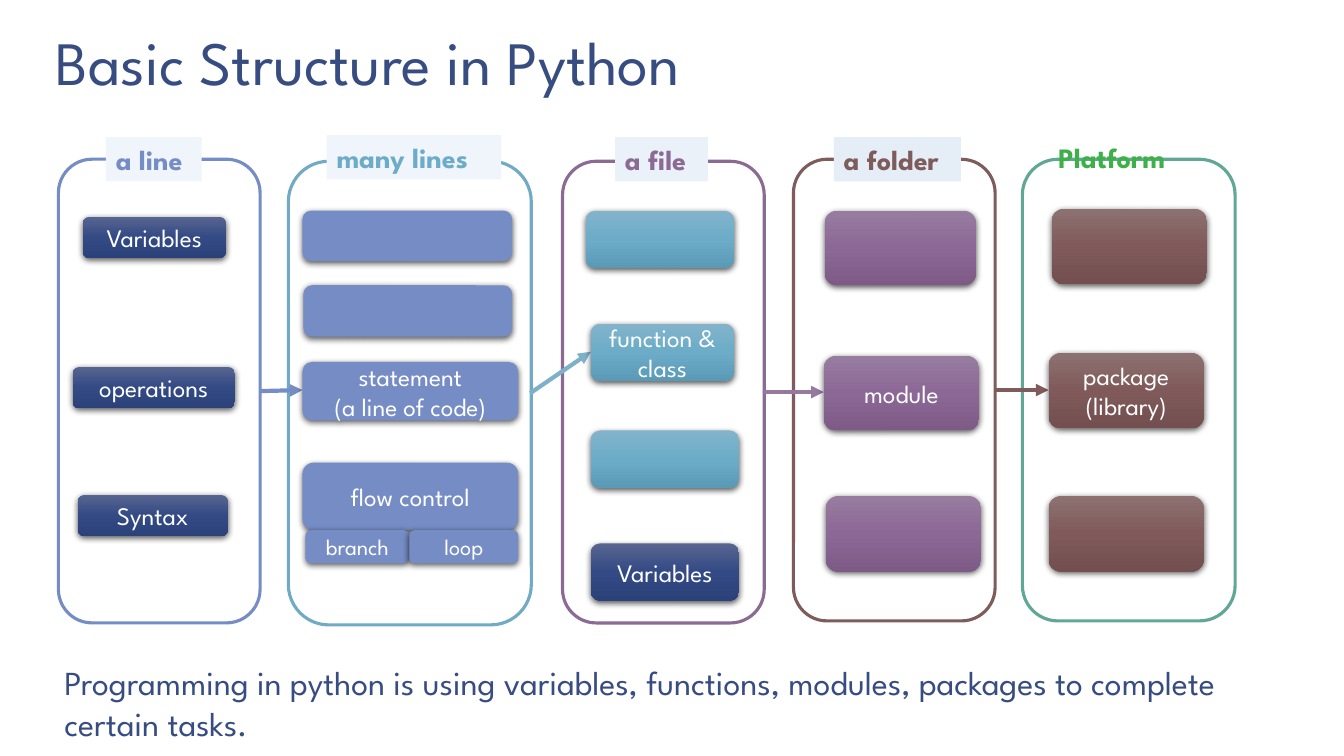
from dataclasses import dataclass

import lxml.etree
import pptx
import pptx.dml.color
import pptx.enum.dml
import pptx.enum.shapes
import pptx.enum.text
import pptx.oxml.ns
import pptx.util

SCALE = 9144
FONT = "League Spartan"
INK = "374C81"
WHITE = "FFFFFF"
NAVY = ("586590", "334A85", "2A4179")
BLUE = ("768CC5",)
TEAL = ("82B3CB", "6CACC8", "5B9AB7")
PLUM = ("987CA0", "8C6896", "7E5A87")
BROWN = ("8D7171", "805A5A", "734F4F")
SHAPE = pptx.enum.shapes.MSO_SHAPE
ANCHOR = pptx.enum.text.MSO_ANCHOR
ALIGN = pptx.enum.text.PP_ALIGN


@dataclass
class Area:
    left: int
    top: int
    width: int
    height: int

    def emu(self) -> list[int]:
        """List the four lengths in EMU."""
        return [px(n) for n in (self.left, self.top, self.width, self.height)]


@dataclass
class Panel:
    area: Area
    line: str


@dataclass
class Label:
    area: Area
    text: str
    ink: str
    fill: str = ""


@dataclass
class Box:
    area: Area
    tone: tuple[str, ...]
    text: str = ""
    size: int = 18


@dataclass
class Arrow:
    start: tuple[int, int]
    end: tuple[int, int]
    ink: str


PANELS = [
    Panel(Area(58, 158, 200, 460), "768CC5"),
    Panel(Area(286, 160, 241, 460), "70AAC4"),
    Panel(Area(558, 160, 200, 458), "8B6A94"),
    Panel(Area(787, 158, 200, 458), "7E5C5C"),
    Panel(Area(1014, 158, 211, 458), "61A796"),
]
LABELS = [
    Label(Area(105, 136, 95, 44), "a line", "768CC5", "EFF5FA"),
    Label(Area(324, 134, 173, 44), "many lines", "6DACC8", "EFF5FA"),
    Label(Area(610, 136, 92, 44), "a file", "8B6A94", "EAF1F9"),
    Label(Area(827, 136, 126, 44), "a folder", "7E5C5C", "E5EEF6"),
    Label(Area(1040, 134, 174, 44), "Platform", "3EB049"),
]
BOXES = [
    Box(Area(82, 215, 142, 41), NAVY, "Variables"),
    Box(Area(72, 364, 161, 41), NAVY, "operations"),
    Box(Area(77, 491, 149, 41), NAVY, "Syntax"),
    Box(Area(300, 209, 208, 50), BLUE),
    Box(Area(301, 283, 207, 51), BLUE),
    Box(Area(300, 359, 214, 58), BLUE, "statement\n(a line of code)"),
    Box(Area(300, 459, 214, 67), BLUE, "flow control"),
    Box(Area(303, 526, 103, 33), BLUE, "branch", 16),
    Box(Area(406, 526, 108, 33), BLUE, "loop", 16),
    Box(Area(581, 209, 147, 57), TEAL),
    Box(Area(586, 321, 142, 57), TEAL, "function & class"),
    Box(Area(586, 427, 147, 57), TEAL),
    Box(Area(586, 539, 147, 57), NAVY, "Variables"),
    Box(Area(818, 209, 150, 74), PLUM),
    Box(Area(817, 353, 154, 74), PLUM, "module"),
    Box(Area(819, 492, 154, 75), PLUM),
    Box(Area(1043, 207, 154, 75), BROWN),
    Box(Area(1040, 350, 154, 75), BROWN, "package\n(library)"),
    Box(Area(1040, 492, 154, 75), BROWN),
]
ARROWS = [
    Arrow((258, 388), (300, 387), "768CC5"),
    Arrow((526, 390), (586, 349), "7DB1CA"),
    Arrow((758, 389), (817, 389), "96799F"),
    Arrow((988, 387), (1040, 387), "815B5B"),
]


def px(count: int) -> int:
    """Turn pixels into EMU."""
    return pptx.util.Emu(count * SCALE)


def rgb(code: str) -> pptx.dml.color.RGBColor:
    """Turn a hex string into a colour."""
    return pptx.dml.color.RGBColor.from_string(code)


def add(node, tag: str, **attrs: str):
    """Append a DrawingML child element."""
    return lxml.etree.SubElement(node, pptx.oxml.ns.qn("a:" + tag), attrs)


def paint(shape, tone: tuple[str, ...]) -> None:
    """Fill with one colour, or an even downward gradient of several."""
    if not tone:
        shape.fill.background()
    elif len(tone) == 1:
        shape.fill.solid()
        shape.fill.fore_color.rgb = rgb(tone[0])
    else:
        shape.fill.gradient()
        shape.fill.gradient_angle = 270
        stops = shape._element.spPr.find(".//" + pptx.oxml.ns.qn("a:gsLst"))
        for stop in list(stops):
            stops.remove(stop)
        for i, code in enumerate(tone):
            place = 100000 * i // (len(tone) - 1)
            add(add(stops, "gs", pos=str(place)), "srgbClr", val=code)


def shade(shape) -> None:
    """Give a shape a soft shadow below."""
    effects = shape._element.spPr.find(pptx.oxml.ns.qn("a:effectLst"))
    outer = add(effects, "outerShdw", blurRad="57150", dist="19050",
                dir="5400000", algn="ctr", rotWithShape="0")
    add(add(outer, "srgbClr", val="000000"), "alpha", val="63000")


def write(shape, text: str, size: int, ink: str, bold: bool = False,
          align=ALIGN.LEFT, anchor=ANCHOR.TOP):
    """Set the text of a shape and return its frame."""
    frame = shape.text_frame
    frame.word_wrap = True
    frame.vertical_anchor = anchor
    frame.text = text
    for para in frame.paragraphs:
        para.alignment = align
        para.font.name = FONT
        para.font.size = pptx.util.Pt(size)
        para.font.bold = bold
        para.font.color.rgb = rgb(ink)
    return frame


def form(slide, kind, area: Area, tone: tuple[str, ...] = ()):
    """Draw a filled shape without line or shadow."""
    shape = slide.shapes.add_shape(kind, *area.emu())
    shape.shadow.inherit = False
    paint(shape, tone)
    shape.line.fill.background()
    return shape


def draw_panel(slide, panel: Panel) -> None:
    """Draw a rounded column outline."""
    shape = form(slide, SHAPE.ROUNDED_RECTANGLE, panel.area)
    shape.line.color.rgb = rgb(panel.line)
    shape.line.width = pptx.util.Pt(2.25)


def draw_label(slide, label: Label) -> None:
    """Draw a column heading."""
    tone = (label.fill,) if label.fill else ()
    shape = form(slide, SHAPE.RECTANGLE, label.area, tone)
    write(shape, label.text, 20, label.ink, bold=True)


def draw_box(slide, box: Box) -> None:
    """Draw a shaded block with centred text."""
    shape = form(slide, SHAPE.ROUNDED_RECTANGLE, box.area, box.tone)
    shade(shape)
    if box.text:
        write(shape, box.text, box.size, WHITE, align=ALIGN.CENTER, anchor=ANCHOR.MIDDLE)


def draw_arrow(slide, arrow: Arrow) -> None:
    """Draw a straight arrow."""
    ends = [px(n) for n in arrow.start + arrow.end]
    line = slide.shapes.add_connector(pptx.enum.shapes.MSO_CONNECTOR.STRAIGHT, *ends)
    line.line.color.rgb = rgb(arrow.ink)
    line.line.width = pptx.util.Pt(3)
    add(line.line._get_or_add_ln(), "tailEnd", type="triangle")
    add(line._element.spPr, "effectLst")


def main() -> None:
    """Build the slide."""
    deck = pptx.Presentation()
    deck.slide_width, deck.slide_height = px(1333), px(750)
    slide = deck.slides.add_slide(deck.slide_layouts[6])
    title = slide.shapes.add_textbox(*Area(42, 18, 752, 86).emu())
    frame = write(title, "Basic Structure in Python", 44, INK, anchor=ANCHOR.BOTTOM)
    frame.margin_left = frame.margin_right = px(13)
    frame.margin_top = frame.margin_bottom = px(7)
    frame.paragraphs[0].line_spacing = 0.85
    for draw, items in ((draw_panel, PANELS), (draw_arrow, ARROWS),
                        (draw_box, BOXES), (draw_label, LABELS)):
        for item in items:
            draw(slide, item)
    note = slide.shapes.add_textbox(*Area(54, 652, 1246, 91).emu())
    write(note, "Programming in python is using variables, functions, modules, "
          "packages to complete certain tasks.", 24, INK)
    deck.save("out.pptx")


if __name__ == "__main__":
    main()
